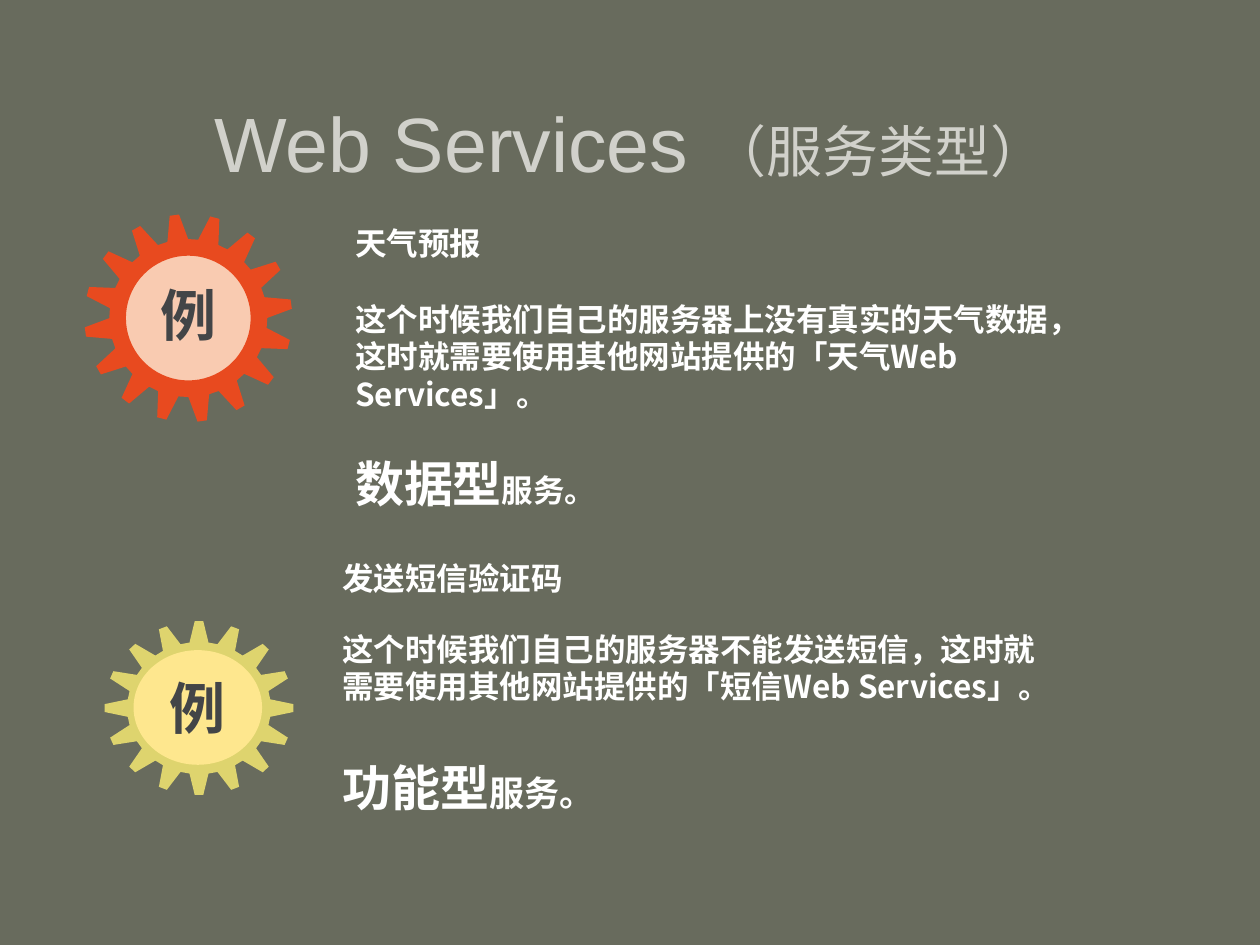
import math

from pptx import Presentation, util as u
from pptx.dml.color import RGBColor
from pptx.enum import shapes, text
from pptx.oxml.xmlchemy import OxmlElement

TEETH = 16
PITCH = 360 / TEETH


def color(hex_code):
    return RGBColor.from_string(hex_code)


class SlideBuilder:
    latin, cjk = "Arial", "Noto Sans CJK SC"
    white, title_grey, dark, olive = "FFFFFF", "D1D1CB", "434547", "686B5D"

    def __init__(self, slide):
        self.slide = slide
        slide.background.fill.solid()
        slide.background.fill.fore_color.rgb = color(self.olive)

    def style(self, run, size, ink, latin=None, bold=False):
        font = run.font
        font.size, font.bold = u.Pt(size), bold
        font.name = latin or self.cjk
        font.color.rgb = color(ink)
        east_asian = OxmlElement("a:ea")
        east_asian.set("typeface", self.cjk)
        run._r.get_or_add_rPr().append(east_asian)

    def text_frame(self, left, top, width, height):
        box = self.slide.shapes.add_textbox(
            u.Inches(left), u.Inches(top), u.Inches(width), u.Inches(height))
        box.text_frame.word_wrap = True
        return box.text_frame

    def add_runs(self, paragraph, parts, ink, latin=None, bold=False):
        """Add (wording, size) parts to a paragraph."""
        for wording, size in parts:
            run = paragraph.add_run()
            run.text = wording
            self.style(run, size, ink, latin, bold)

    def title(self, parts, *place):
        frame = self.text_frame(*place)
        frame.vertical_anchor = text.MSO_ANCHOR.MIDDLE
        heading = frame.paragraphs[0]
        heading.alignment = text.PP_ALIGN.CENTER
        self.add_runs(heading, parts, self.title_grey, self.latin)

    def description(self, paragraphs, *place):
        """Add paragraphs given as (space before, parts)."""
        frame = self.text_frame(*place)
        frame.margin_top = u.Inches(0.08)
        for index, (space, parts) in enumerate(paragraphs):
            paragraph = frame.add_paragraph() if index else frame.paragraphs[0]
            largest = max(size for _, size in parts)
            paragraph.line_spacing = u.Pt(round(largest * 1.19, 1))
            paragraph.space_before = u.Pt(space)
            self.add_runs(paragraph, parts, self.white, bold=True)

    def fill(self, shape, fill):
        shape.shadow.inherit = False
        shape.fill.solid()
        shape.fill.fore_color.rgb = color(fill)
        shape.line.fill.background()

    def badge(self, label, fill, left, top, width, height):
        disc = self.slide.shapes.add_shape(
            shapes.MSO_SHAPE.OVAL, u.Inches(left), u.Inches(top),
            u.Inches(width), u.Inches(height))
        self.fill(disc, fill)
        frame = disc.text_frame
        frame.margin_left = frame.margin_right = 0
        frame.margin_top = frame.margin_bottom = 0
        frame.word_wrap = False
        frame.vertical_anchor = text.MSO_ANCHOR.MIDDLE
        frame.paragraphs[0].alignment = text.PP_ALIGN.CENTER
        self.add_runs(frame.paragraphs[0], [(label, 32)], self.dark, bold=True)

    def gear(self, fill, left, top, width, height, turn=0):
        """Add a toothed ring with a round hole, turned by some degrees."""
        def point(degrees, reach):
            angle = math.radians(degrees)
            return (u.Inches(left + width / 2 * (1 + reach * math.sin(angle))),
                    u.Inches(top + height / 2 * (1 - reach * math.cos(angle))))

        tooth = [(-7.6, 0.76), (-2.6, 1), (2.6, 1), (7.6, 0.76)]
        rim = [point(turn + n * PITCH + offset, reach)
               for n in range(TEETH) for offset, reach in tooth]
        hole = [point(-degrees, 0.6) for degrees in range(0, 360, 5)]
        outline = self.slide.shapes.build_freeform(*rim[0])
        outline.add_line_segments(rim[1:], close=True)
        outline.move_to(*hole[0])
        outline.add_line_segments(hole[1:], close=True)
        self.fill(outline.convert_to_shape(), fill)


def main():
    deck = Presentation()
    deck.slide_width, deck.slide_height = u.Inches(10), u.Inches(7.5)
    page = SlideBuilder(deck.slides.add_slide(deck.slide_layouts[6]))

    page.title([("Web Services ", 44), ("（服务类型）", 32)], 0.69, 0.4, 8.63, 1.45)

    page.badge("例", "F9CBB1", 0.91, 1.94, 1.18, 1.1)
    page.gear("E84A1F", 0.67, 1.7, 1.65, 1.65, turn=14.8)
    page.gear("DED46E", 0.83, 4.93, 1.5, 1.38)
    page.badge("例", "FEE78E", 1.06, 5.16, 1.02, 0.91)

    page.description([
        (0, [("天气预报", 18)]),
        (22, [("这个时候我们自己的服务器上没有真实的天气数据，"
               "这时就需要使用其他网站提供的「天气Web Services」。", 18)]),
        (23.5, [("数据型", 28), ("服务。", 18)]),
    ], 2.72, 1.7, 5.91, 2.37)
    page.description([
        (0, [("发送短信验证码", 18)]),
        (19, [("这个时候我们自己的服务器不能发送短信，"
               "这时就需要使用其他网站提供的「短信Web Services」。", 18)]),
        (30.5, [("功能型", 28), ("服务。", 20)]),
    ], 2.62, 4.36, 5.93, 2.14)

    deck.save("out.pptx")


if __name__ == "__main__":
    main()
